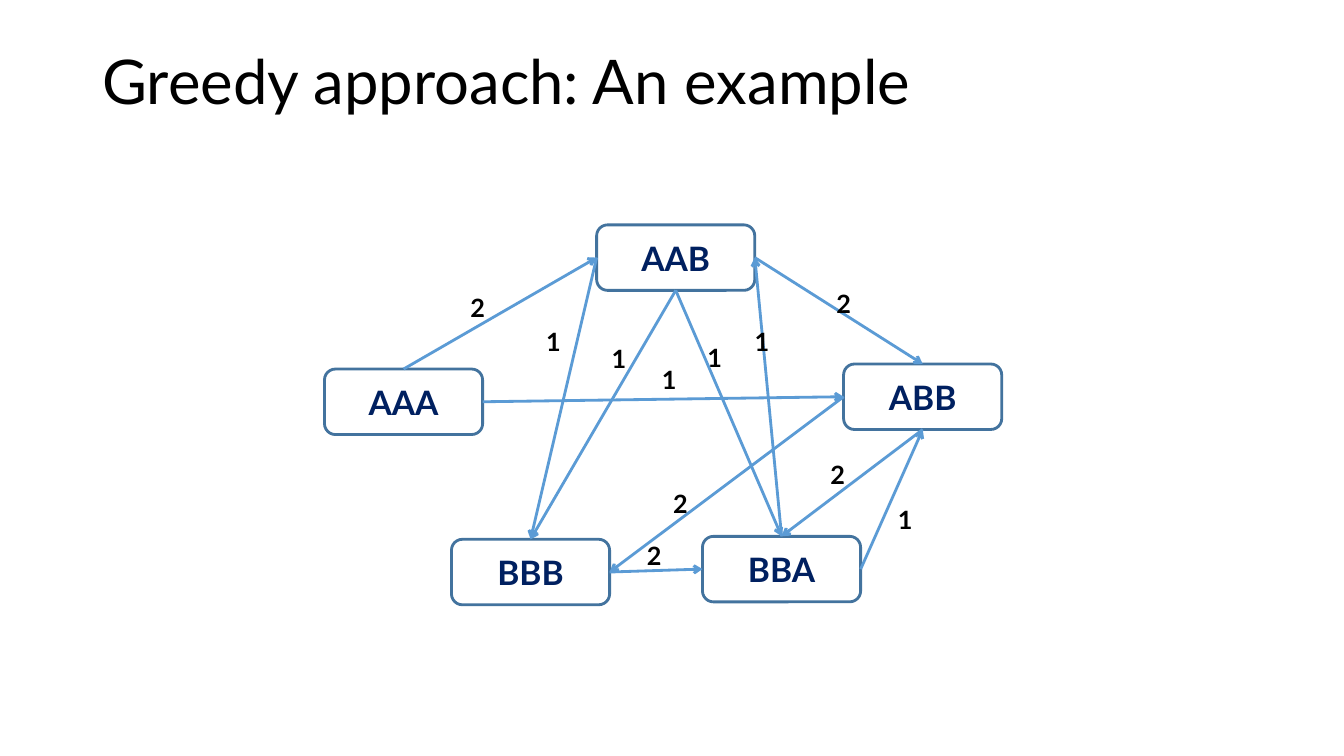
import lxml.etree
import pptx
import pptx.dml.color
import pptx.enum.shapes
import pptx.enum.text
import pptx.oxml.ns
import pptx.util

Pt = pptx.util.Pt
qn = pptx.oxml.ns.qn
MIDDLE = pptx.enum.text.MSO_ANCHOR.MIDDLE
ALIGN = pptx.enum.text.PP_ALIGN
COLOURS = {"text": "000000", "node": "FFFFFF", "border": "43739E",
           "node_text": "002060", "edge": "5B9BD5"}
FONT = "Lato"
TOP, LEFT, BOTTOM, RIGHT = range(4)
NODE_WIDTH, NODE_HEIGHT = 113, 46.8
LABEL_WIDTH, LABEL_HEIGHT = 28, 30

NODES = {
    "AAA": (0, 103),
    "ABB": (370.8, 99.4),
    "AAB": (194.4, 0),
    "BBA": (270, 222.5),
    "BBB": (90.7, 224.6),
}
EDGES = [
    ("AAA", TOP, "AAB", LEFT, "2", (97.2, 44.6)),
    ("ABB", BOTTOM, "BBA", TOP, "2", (354.2, 164.2)),
    ("AAB", BOTTOM, "BBA", TOP, "1", (266.4, 80.6)),
    ("AAB", BOTTOM, "BBB", TOP, "1", (198, 81.4)),
    ("AAB", RIGHT, "ABB", TOP, "2", (358.6, 41.8)),
    ("BBA", RIGHT, "ABB", BOTTOM, "1", (402.5, 195.8)),
    ("BBB", RIGHT, "BBA", LEFT, "2", (223.2, 221.8)),
    ("BBA", TOP, "AAB", RIGHT, "1", (300.2, 69.1)),
    ("AAB", LEFT, "BBB", TOP, "1", (151.2, 69.1)),
    ("AAA", RIGHT, "ABB", LEFT, "1", (234, 95.8)),
    ("ABB", LEFT, "BBB", RIGHT, "2", (241.9, 185)),
]


def colour(name):
    """Return the named colour as an RGB value."""
    return pptx.dml.color.RGBColor.from_string(COLOURS[name])


def write(frame, text, size, colour_name, bold, align):
    """Write one formatted paragraph and return it."""
    frame.word_wrap = True
    paragraph = frame.paragraphs[0]
    paragraph.text = text
    paragraph.alignment = align
    paragraph.font.name = FONT
    paragraph.font.size = Pt(size)
    paragraph.font.bold = bold
    paragraph.font.color.rgb = colour(colour_name)
    return paragraph


def add_title(slide, text, left, top, width, height):
    """Place the slide title in its box."""
    title = slide.shapes.title
    title.left, title.top = Pt(left), Pt(top)
    title.width, title.height = Pt(width), Pt(height)
    frame = title.text_frame
    frame.auto_size = pptx.enum.text.MSO_AUTO_SIZE.NONE
    frame.vertical_anchor = MIDDLE
    paragraph = write(frame, text, 44, "text", False, ALIGN.LEFT)
    paragraph.line_spacing = 0.9


def add_node(slide, name, left, top):
    """Draw one k-mer node and return it."""
    node = slide.shapes.add_shape(
        pptx.enum.shapes.MSO_SHAPE.ROUNDED_RECTANGLE,
        Pt(left), Pt(top), Pt(NODE_WIDTH), Pt(NODE_HEIGHT))
    node.shadow.inherit = False
    node.fill.solid()
    node.fill.fore_color.rgb = colour("node")
    node.line.color.rgb = colour("border")
    node.line.width = Pt(2)
    node.text_frame.vertical_anchor = MIDDLE
    write(node.text_frame, name, 24, "node_text", True, ALIGN.CENTER)
    return node


def add_edge(slide, source, source_side, target, target_side):
    """Draw an arrow that joins two nodes."""
    edge = slide.shapes.add_connector(
        pptx.enum.shapes.MSO_CONNECTOR.STRAIGHT,
        source.left, source.top, target.left, target.top)
    edge.begin_connect(source, source_side)
    edge.end_connect(target, target_side)
    edge.line.color.rgb = colour("edge")
    edge.line.width = Pt(2)
    lxml.etree.SubElement(edge.line._get_or_add_ln(), qn("a:tailEnd"), type="arrow")
    lxml.etree.SubElement(edge._element.spPr, qn("a:effectLst"))


def add_overlap_label(slide, overlap, left, top):
    """Write the overlap length beside its edge."""
    label = slide.shapes.add_textbox(
        Pt(left), Pt(top), Pt(LABEL_WIDTH), Pt(LABEL_HEIGHT))
    write(label.text_frame, overlap, 18, "text", True, ALIGN.LEFT)


def add_overlap_graph(slide, left, top):
    """Draw the overlap graph from its top left corner."""
    nodes = {name: add_node(slide, name, left + x, top + y)
             for name, (x, y) in NODES.items()}
    for source, source_side, target, target_side, _, _ in EDGES:
        add_edge(slide, nodes[source], source_side, nodes[target], target_side)
    for *_, overlap, (x, y) in EDGES:
        add_overlap_label(slide, overlap, left + x, top + y)


def main():
    """Build and save the slide."""
    presentation = pptx.Presentation()
    presentation.slide_width, presentation.slide_height = Pt(960), Pt(540)
    slide = presentation.slides.add_slide(presentation.slide_layouts[5])
    add_title(slide, "Greedy approach: An example", 66, 28.75, 828, 63.25)
    add_overlap_graph(slide, 231.8, 160.6)
    presentation.save("out.pptx")


if __name__ == "__main__":
    main()
